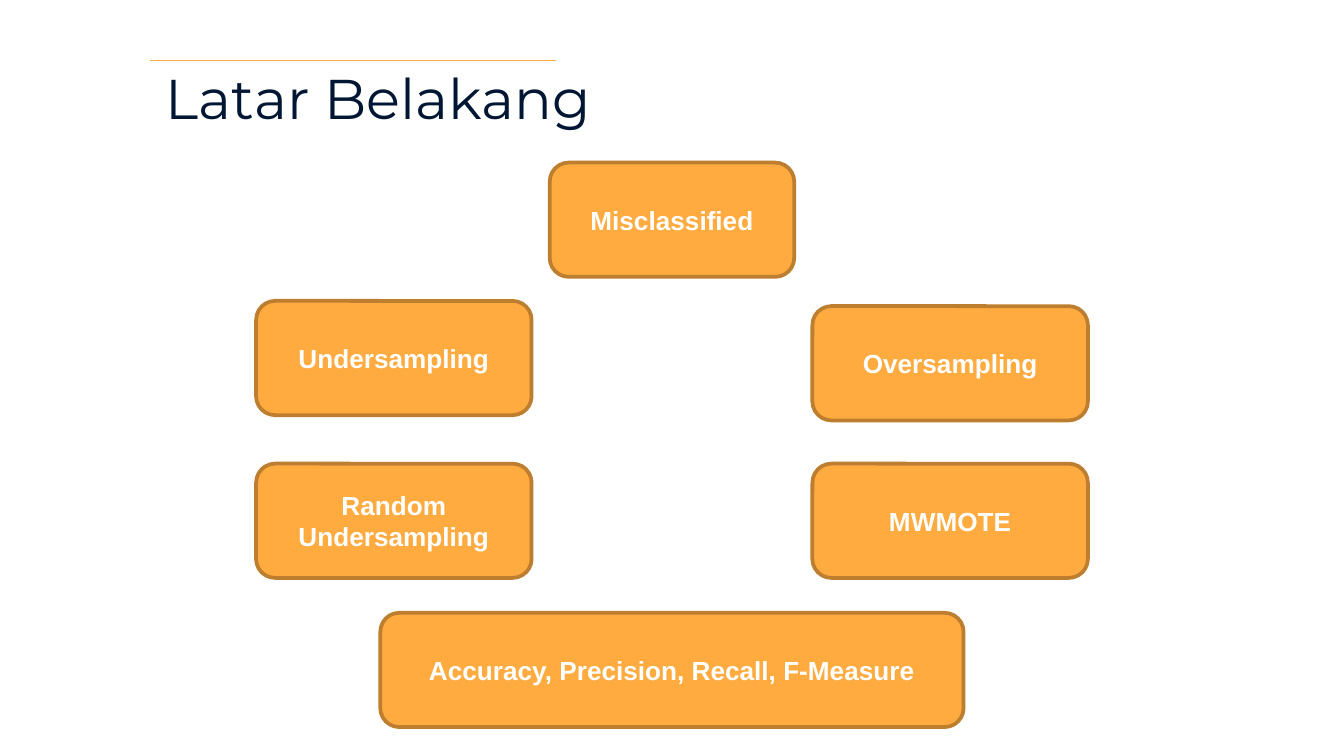
from dataclasses import dataclass

import pptx
import pptx.dml.color
import pptx.enum.shapes
import pptx.enum.text
import pptx.oxml.ns
import pptx.slide
import pptx.text.text
import pptx.util
import lxml.etree

Pt = pptx.util.Pt

COLOURS = {
    "title": "001633",
    "accent": "FFAB40",
    "border": "BD7F2F",
    "label": "FFFFFF",
}
SLIDE_WIDTH, SLIDE_HEIGHT = 720, 405
BOX_HEIGHT = 61.2
BRANCH_WIDTH = 147.6
BRANCH_OFFSET = 149  # from the slide's middle to the middle of a branch


@dataclass
class Step:
    label: str
    top: float
    width: float = BRANCH_WIDTH
    offset: float = 0


STEPS = [
    Step("Misclassified", 87.1, width=131),
    Step("Undersampling", 161.2, offset=-BRANCH_OFFSET),
    Step("Oversampling", 164, offset=BRANCH_OFFSET),
    Step("Random Undersampling", 248.4, offset=-BRANCH_OFFSET),
    Step("MWMOTE", 248.4, offset=BRANCH_OFFSET),
    Step("Accuracy, Precision, Recall, F-Measure", 328.3, width=312.5),
]


def colour(name: str) -> pptx.dml.color.RGBColor:
    return pptx.dml.color.RGBColor.from_string(COLOURS[name])


def write(frame: pptx.text.text.TextFrame, text: str, font: str, size: float,
          ink: str, bold: bool = False) -> None:
    """Put one centred run into a text frame."""
    frame.word_wrap = True
    para = frame.paragraphs[0]
    para.alignment = pptx.enum.text.PP_ALIGN.CENTER
    span = para.add_run()
    span.text = text
    span.font.name = font
    span.font.size = Pt(size)
    span.font.bold = bold
    span.font.color.rgb = colour(ink)


def draw_title(page: pptx.slide.Slide, text: str) -> None:
    box = page.shapes.add_textbox(Pt(66.2), Pt(35.3), Pt(272.9), Pt(41.8))
    frame = box.text_frame
    frame.vertical_anchor = pptx.enum.text.MSO_ANCHOR.BOTTOM
    frame.margin_left = frame.margin_right = Pt(7.2)
    frame.margin_top = frame.margin_bottom = Pt(7.2)
    write(frame, text, "Montserrat", 30, "title")


def draw_rule(page: pptx.slide.Slide, left: float, right: float, top: float) -> None:
    rule = page.shapes.add_connector(
        pptx.enum.shapes.MSO_CONNECTOR.STRAIGHT, Pt(left), Pt(top), Pt(right), Pt(top))
    rule.line.color.rgb = colour("accent")
    rule.line.width = Pt(0.75)
    lxml.etree.SubElement(rule._element.spPr, pptx.oxml.ns.qn("a:effectLst"))


def draw_step(page: pptx.slide.Slide, step: Step) -> None:
    left = SLIDE_WIDTH / 2 + step.offset - step.width / 2
    box = page.shapes.add_shape(
        pptx.enum.shapes.MSO_SHAPE.ROUNDED_RECTANGLE,
        Pt(left), Pt(step.top), Pt(step.width), Pt(BOX_HEIGHT))
    box.shadow.inherit = False
    box.fill.solid()
    box.fill.fore_color.rgb = colour("accent")
    box.line.color.rgb = colour("border")
    box.line.width = Pt(2)
    box.text_frame.vertical_anchor = pptx.enum.text.MSO_ANCHOR.MIDDLE
    write(box.text_frame, step.label, "Arial", 14, "label", bold=True)


def main() -> None:
    deck = pptx.Presentation()
    deck.slide_width, deck.slide_height = Pt(SLIDE_WIDTH), Pt(SLIDE_HEIGHT)
    page = deck.slides.add_slide(deck.slide_layouts[6])

    # Heading with the rule above it
    draw_title(page, "Latar Belakang")
    draw_rule(page, left=80.6, right=298.1, top=32.4)

    # Steps, from the problem down to the measures
    for step in STEPS:
        draw_step(page, step)

    deck.save("out.pptx")


if __name__ == "__main__":
    main()
